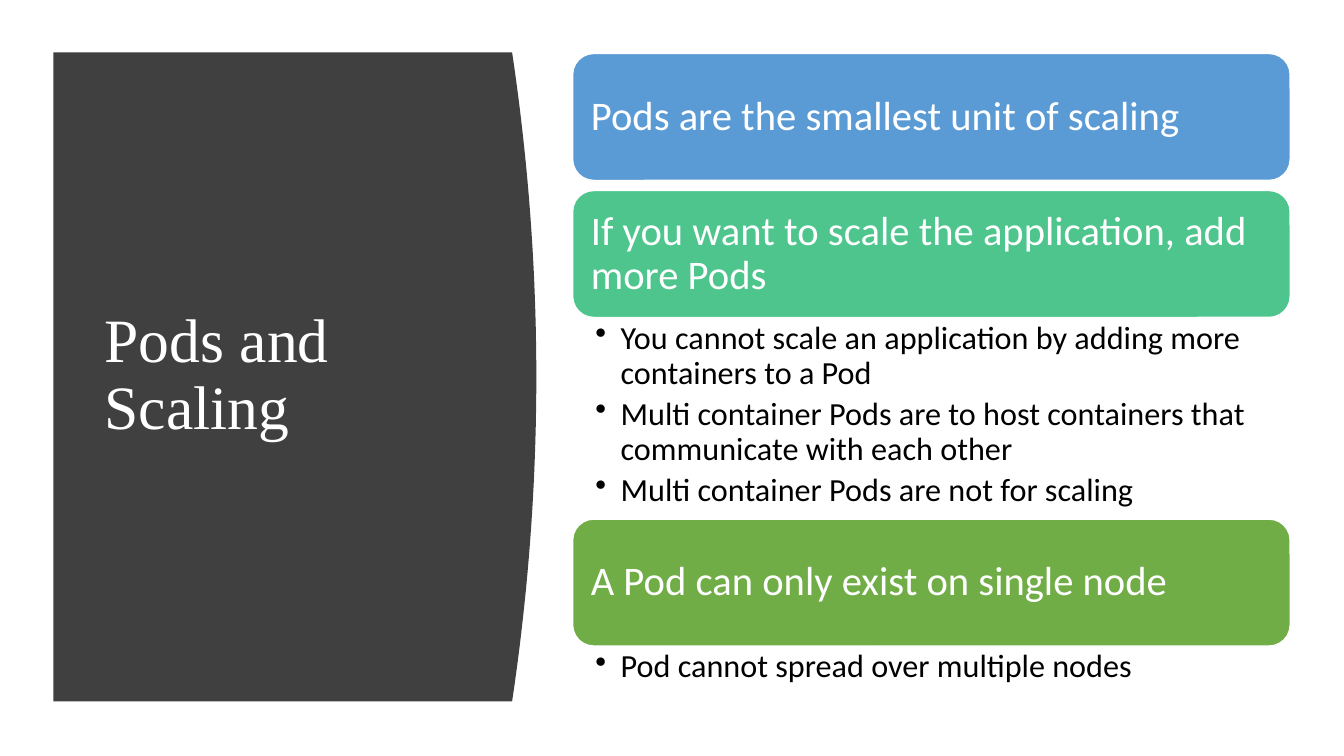
"""Build the slide on Pods and scaling."""
import pptx
import pptx.util
import pptx.dml.color
import pptx.enum.shapes
import pptx.enum.text
import pptx.oxml.ns
from lxml import etree

Pt = pptx.util.Pt
Anchor = pptx.enum.text.MSO_ANCHOR
Rounded = pptx.enum.shapes.MSO_SHAPE.ROUNDED_RECTANGLE
colors = {"dark": "404040", "blue": "5B9BD5", "teal": "4DC58D",
          "green": "70AD47", "white": "FFFFFF", "black": "000000"}


def tint(name):
    return pptx.dml.color.RGBColor.from_string(colors[name])


def write(shape, *lines, size, color, font="Calibri", pad=(0, 0),
          anchor=Anchor.MIDDLE, after=0, bullet=None):
    frame = shape.text_frame
    frame.word_wrap = True
    frame.vertical_anchor = anchor
    frame.margin_left = frame.margin_right = Pt(pad[0])
    frame.margin_top = frame.margin_bottom = Pt(pad[1])
    for i, line in enumerate(lines):
        para = frame.add_paragraph() if i else frame.paragraphs[0]
        para.alignment = pptx.enum.text.PP_ALIGN.LEFT
        para.line_spacing = 0.9
        para.space_after = Pt(after)
        run = para.add_run()
        run.text = line
        run.font.size = Pt(size)
        run.font.name = font
        run.font.color.rgb = tint(color)
        if bullet:
            para.level = 1
            props = para._p.get_or_add_pPr()
            props.set("marL", str(Pt(18)))
            props.set("indent", str(Pt(-18)))
            mark = etree.SubElement(props, pptx.oxml.ns.qn("a:buChar"))
            mark.set("char", bullet)


deck = pptx.Presentation()
deck.slide_width, deck.slide_height = Pt(960), Pt(540)
slide = deck.slides.add_slide(deck.slide_layouts[6])
shapes = slide.shapes

left, top, edge, base, bulge, steps = 38.2, 37.4, 365.8, 501.1, 17.3, 40
curve = []
for i in range(steps + 1):
    part = i / steps
    x = edge + bulge * 4 * part * (1 - part)
    curve.append((Pt(x), Pt(top + (base - top) * part)))
pen = shapes.build_freeform(Pt(left), Pt(top))
pen.add_line_segments(curve + [(Pt(left), Pt(base))], close=True)
panel = pen.convert_to_shape()
panel.shadow.inherit = False
panel.fill.solid()
panel.fill.fore_color.rgb = tint("dark")
panel.line.fill.background()

title = shapes.add_textbox(Pt(67.7), Pt(80), Pt(269.3), Pt(377.3))
write(title, "Pods and Scaling", size=44, color="white",
      font="Times New Roman", pad=(7.2, 3.6))

cards = [
    ("Pods are the smallest unit of scaling", "blue", 7.2, []),
    ("If you want to scale the application, add more Pods", "teal", 144,
     ["You cannot scale an application by adding more containers to a Pod",
      "Multi container Pods are to host containers that communicate with each other",
      "Multi container Pods are not for scaling"]),
    ("A Pod can only exist on single node", "green", 38.2,
     ["Pod cannot spread over multiple nodes"]),
]
side, width, height, y = 409, 512.6, 90.7, 38.2
for head, fill, below, points in cards:
    card = shapes.add_shape(Rounded, Pt(side), Pt(y), Pt(width), Pt(height))
    card.shadow.inherit = False
    card.fill.solid()
    card.fill.fore_color.rgb = tint(fill)
    card.line.color.rgb = tint("white")
    card.line.width = Pt(1)
    write(card, head, size=29, color="white", pad=(8.6, 8.6))
    y += height
    if points:
        body = shapes.add_textbox(Pt(side), Pt(y), Pt(width), Pt(below))
        write(body, *points, size=23, color="black", pad=(16.3, 2.9),
              anchor=Anchor.TOP, after=4.6, bullet="•")
    y += below

deck.save("out.pptx")
